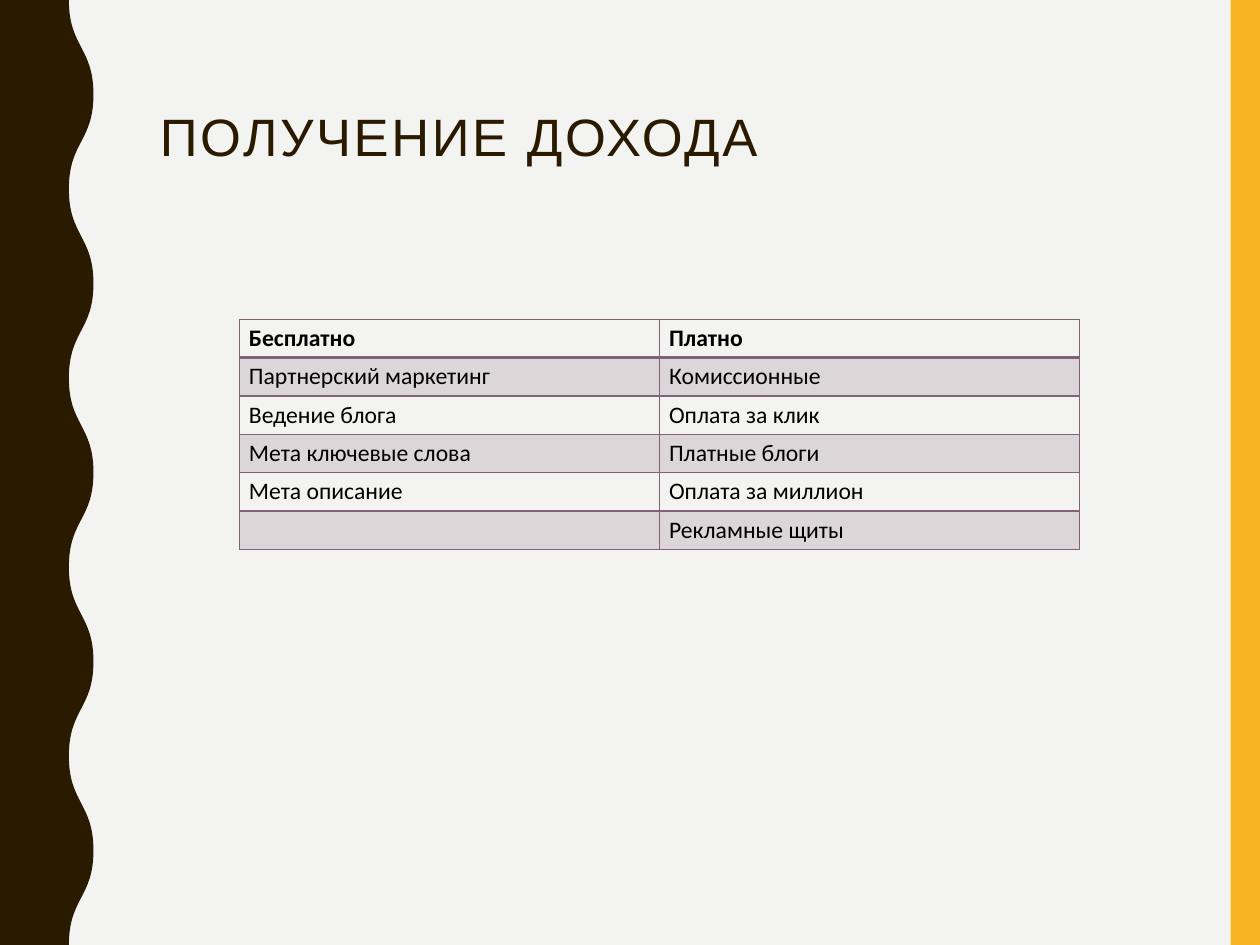
"""Build the slide on earning income: a title and a table of free and paid methods."""
from dataclasses import dataclass
from typing import NamedTuple

from lxml import etree
from pptx import Presentation
from pptx.dml.color import RGBColor
from pptx.enum.shapes import MSO_SHAPE
from pptx.enum.text import MSO_ANCHOR, MSO_AUTO_SIZE, PP_ALIGN
from pptx.oxml.ns import qn
from pptx.shapes.autoshape import Shape
from pptx.slide import Slide
from pptx.table import _Cell
from pptx.text.text import _Paragraph
from pptx.util import Cm, Pt

RECTANGLE = MSO_SHAPE.RECTANGLE
TOP = MSO_ANCHOR.TOP
LEFT = PP_ALIGN.LEFT
NO_AUTOFIT = MSO_AUTO_SIZE.NONE


@dataclass(frozen=True)
class Theme:
    paper: str = "F3F3F2"
    dark: str = "2A1A00"
    accent: str = "F8B323"
    grid: str = "826276"
    body: str = "000000"
    title_font: str = "Arial"
    body_font: str = "Calibri"
    title_size: int = 40
    body_size: int = 18
    title_spacing: int = 2
    band_opacity: int = 20


class Method(NamedTuple):
    free: str
    paid: str


THEME = Theme()
SLIDE_WIDTH, SLIDE_HEIGHT = 33.83, 25.37
STRIPE_WIDTH = 0.79
WAVE_INNER, WAVE_OUTER = 1.85, 2.51
HALF_WAVES = 10
ROW_HEIGHT, COLUMN_WIDTH = 1.03, 11.28
METHODS = [
    Method("Бесплатно", "Платно"),
    Method("Партнерский маркетинг", "Комиссионные"),
    Method("Ведение блога", "Оплата за клик"),
    Method("Мета ключевые слова", "Платные блоги"),
    Method("Мета описание", "Оплата за миллион"),
    Method("", "Рекламные щиты"),
]


def paint(shape: Shape, color: str) -> None:
    shape.shadow.inherit = False
    shape.fill.solid()
    shape.fill.fore_color.rgb = RGBColor.from_string(color)
    shape.line.fill.background()


def add_text(paragraph: _Paragraph, text: str, font: str, size: int, color: str,
             bold: bool = False, spacing: int = 0) -> None:
    run = paragraph.add_run()
    run.text = text
    run.font.name = font
    run.font.size = Pt(size)
    run.font.bold = bold
    run.font.color.rgb = RGBColor.from_string(color)
    if spacing:
        run.font._element.set("spc", str(spacing * 100))


def bend(segment: etree._Element, start: tuple[int, int], end: tuple[int, int]) -> None:
    middle = (start[1] + end[1]) // 2
    curve = etree.Element(qn("a:cubicBezTo"))
    for x, y in ((start[0], middle), (end[0], middle), end):
        etree.SubElement(curve, qn("a:pt"), x=str(x), y=str(y))
    segment.getparent().replace(segment, curve)


def add_wave(slide: Slide) -> None:
    edges = (WAVE_INNER, WAVE_OUTER)
    crests = [(Cm(edges[index % 2]), Cm(SLIDE_HEIGHT * index / HALF_WAVES))
              for index in range(HALF_WAVES + 1)]
    outline = slide.shapes.build_freeform(*crests[0])
    outline.add_line_segments([*crests[1:], (0, Cm(SLIDE_HEIGHT)), (0, 0)])
    wave = outline.convert_to_shape()
    paint(wave, THEME.dark)
    segments = wave._element.findall(f".//{qn('a:lnTo')}")
    for segment, start, end in zip(segments, crests, crests[1:]):
        bend(segment, start, end)


def add_stripe(slide: Slide) -> None:
    stripe = slide.shapes.add_shape(RECTANGLE, Cm(SLIDE_WIDTH - STRIPE_WIDTH), 0,
                                    Cm(STRIPE_WIDTH), Cm(SLIDE_HEIGHT))
    paint(stripe, THEME.accent)


def add_title(slide: Slide, text: str) -> None:
    title = slide.shapes.title
    title.left, title.top, title.width, title.height = Cm(4.04), Cm(2.86), Cm(26.95), Cm(5.51)
    frame = title.text_frame
    frame.word_wrap = True
    frame.auto_size = NO_AUTOFIT
    frame.vertical_anchor = TOP
    paragraph = frame.paragraphs[0]
    paragraph.alignment = LEFT
    paragraph.line_spacing = 0.9
    add_text(paragraph, text, THEME.title_font, THEME.title_size, THEME.dark,
             spacing=THEME.title_spacing)


def style_cell(cell: _Cell, banded: bool, bottom_width: int) -> None:
    properties = cell._tc.get_or_add_tcPr()
    if banded:
        cell.fill.solid()
        cell.fill.fore_color.rgb = RGBColor.from_string(THEME.grid)
        tint = properties.find(f".//{qn('a:srgbClr')}")
        etree.SubElement(tint, qn("a:alpha"), val=str(THEME.band_opacity * 1000))
    else:
        cell.fill.background()
    widths = {"a:lnL": 1, "a:lnR": 1, "a:lnT": 1, "a:lnB": bottom_width}
    for position, (side, width) in enumerate(widths.items()):
        border = etree.Element(qn(side), w=str(Pt(width)))
        fill = etree.SubElement(border, qn("a:solidFill"))
        etree.SubElement(fill, qn("a:srgbClr"), val=THEME.grid)
        properties.insert(position, border)


def add_methods(slide: Slide, methods: list[Method]) -> None:
    columns = len(Method._fields)
    table = slide.shapes.add_table(len(methods), columns, Cm(6.43), Cm(8.57),
                                   Cm(COLUMN_WIDTH * columns),
                                   Cm(ROW_HEIGHT * len(methods))).table
    table.first_row = False
    table.horz_banding = False
    for row, method in enumerate(methods):
        header = row == 0
        for column, text in enumerate(method):
            cell = table.cell(row, column)
            style_cell(cell, banded=row % 2 == 1, bottom_width=2 if header else 1)
            if text:
                add_text(cell.text_frame.paragraphs[0], text, THEME.body_font,
                         THEME.body_size, THEME.body, bold=header)


def main() -> None:
    presentation = Presentation()
    presentation.slide_width, presentation.slide_height = Cm(SLIDE_WIDTH), Cm(SLIDE_HEIGHT)
    slide = presentation.slides.add_slide(presentation.slide_layouts[5])
    slide.background.fill.solid()
    slide.background.fill.fore_color.rgb = RGBColor.from_string(THEME.paper)
    add_stripe(slide)
    add_wave(slide)
    add_title(slide, "ПОЛУЧЕНИЕ ДОХОДА")
    add_methods(slide, METHODS)
    presentation.save("out.pptx")


if __name__ == "__main__":
    main()
